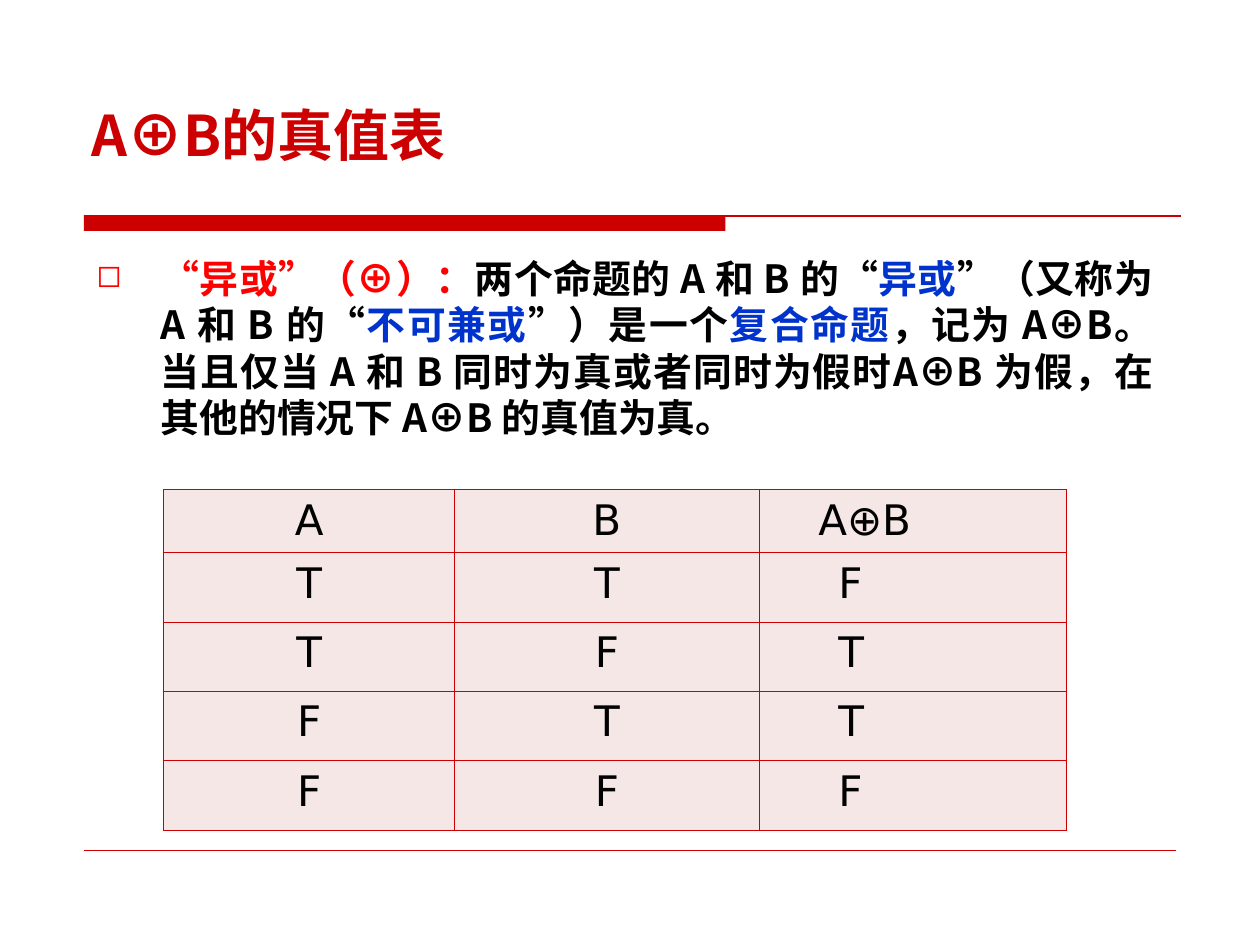
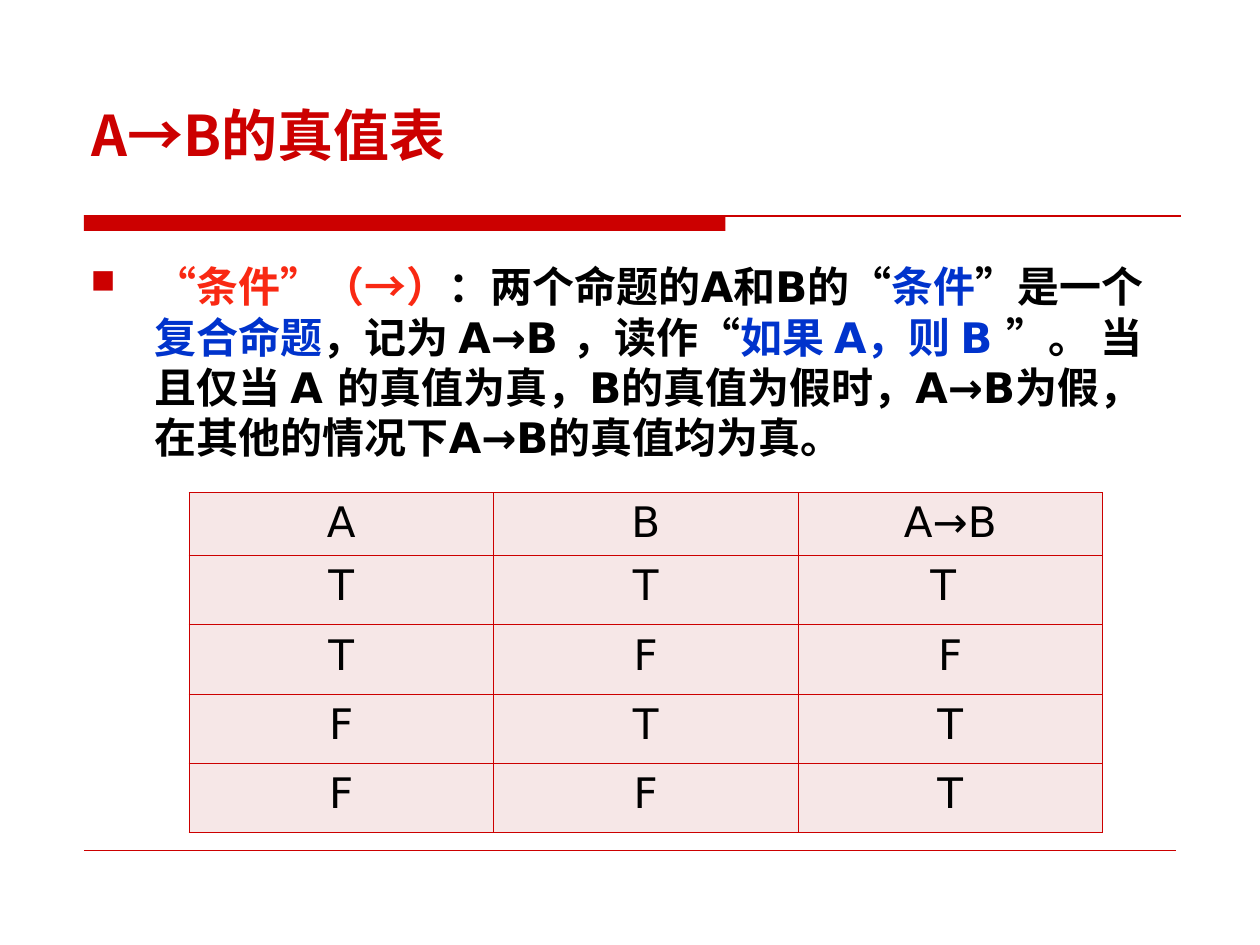
from typing import NamedTuple

from lxml import etree
from pptx import Presentation
from pptx import util as u
from pptx.dml.color import RGBColor
from pptx.enum import shapes, text
from pptx.oxml import ns

UNIT = u.Inches(1) // 12  # the slide is a grid of 120 columns and 90 rows
RED, BLUE, BLACK = "CC0000", "0033CC", "000000"
TABLE_FILL = "F6E7E7"
LATIN, CJK = "DejaVu Sans", "Noto Sans CJK SC"
CENTER, LEFT = text.PP_ALIGN.CENTER, text.PP_ALIGN.LEFT


class Area(NamedTuple):
    left: float
    top: float
    width: float
    height: float


class Span(NamedTuple):
    words: str
    color: str = BLACK
    latin: str = LATIN


class Body(NamedTuple):
    area: Area
    size: float
    align: text.PP_ALIGN
    bullet: str
    bullet_color: str
    spans: list[Span]


class Placing(NamedTuple):
    """Alignment and side insets (inches) of a cell."""
    align: text.PP_ALIGN = CENTER
    left: float = 0.1
    right: float = 0.1


class TruthTable(NamedTuple):
    left: float
    top: float
    columns: list[float]
    result: str
    outcomes: str
    result_placings: list[Placing]


class Lesson(NamedTuple):
    title: str
    body: Body
    table: TruthTable


def cjk_spans(*parts: tuple[str, str]) -> list[Span]:
    return [Span(words, color, LATIN if words in "“”" else CJK) for words, color in parts]


LESSONS = [
    Lesson(
        "A⊕B的真值表",
        Body(Area(8, 23.64, 103, 21.4), 22.2, text.PP_ALIGN.JUSTIFY, "◻", "FF0000", cjk_spans(
            ("“", "FF0000"), ("异或", "FF0000"), ("”", "FF0000"), ("（⊕）：", "FF0000"),
            ("两个命题的 A 和 B 的", BLACK), ("“", BLACK), ("异或", BLUE), ("”", BLACK),
            ("（又称为 A 和 B 的", BLACK), ("“", BLACK), ("不可兼或", BLUE), ("”", BLACK),
            ("）是一个", BLACK), ("复合命题", BLUE),
            ("，记为 A⊕B。当且仅当 A 和 B 同时为真或者同时为假时A⊕B 为假，"
             "在其他的情况下 A⊕B 的真值为真。", BLACK))),
        TruthTable(15.6, 46.64, [27.7, 29, 29.3], "A⊕B", "FTTF",
                   [Placing(LEFT, 0.47)] + [Placing(LEFT, 0.63)] * 4),
    ),
    Lesson(
        "A→B的真值表",
        Body(Area(7.44, 24.24, 105, 21.7), 24, LEFT, "■", RED, [
            Span("“条件”（→）", "F92913"), Span("：两个命题的A和B的“"), Span("条件", BLUE),
            Span("”是一个"), Span("复合命题", BLUE), Span("，记为 A→B ，读作“"),
            Span("如果 A，则 B ", BLUE),
            Span("”。 当且仅当 A 的真值为真，B的真值为假时，A→B为假，"
                 "在其他的情况下A→B的真值均为真。")]),
        TruthTable(18, 46.9, [29] * 3, "A→B", "TFTT",
                   [Placing(), Placing(right=0.21)] + [Placing()] * 3),
    ),
]


def grid(*lengths: float) -> list[int]:
    return [round(length * UNIT) for length in lengths]


def rgb(color: str) -> RGBColor:
    return RGBColor.from_string(color)


def add_element(parent, tag: str, **attributes: str):
    return etree.SubElement(parent, ns.qn(tag), attributes)


def set_font(font, size: float | None = None, color: str | None = None,
             latin: str | None = None, bold: bool | None = None) -> None:
    if size:
        font.size = u.Pt(size)
    if color:
        font.color.rgb = rgb(color)
    if bold is not None:
        font.bold = bold
    if latin:
        font.name = latin
        font._rPr.find(ns.qn("a:latin")).addnext(
            etree.Element(ns.qn("a:ea"), typeface=CJK))


def add_rule(page, start: float, end: float, row: float, width: float) -> None:
    x1, x2, y = grid(start, end, row)
    rule = page.shapes.add_connector(shapes.MSO_CONNECTOR.STRAIGHT, x1, y, x2, y)
    rule.line.color.rgb = rgb(RED)
    rule.line.width = u.Pt(width)
    add_element(rule._element.spPr, "a:effectLst")


def add_frame(page) -> None:
    """Draw the title band and the footer rule."""
    band = page.shapes.add_shape(shapes.MSO_SHAPE.RECTANGLE, *grid(8, 20.5, 61.1, 1.5))
    band.shadow.inherit = False
    band.fill.solid()
    band.fill.fore_color.rgb = rgb(RED)
    band.line.fill.background()
    add_rule(page, 8, 112.45, 20.55, 1)
    add_rule(page, 8, 112, 81, 0.25)


def add_text_frame(page, area: Area):
    frame = page.shapes.add_textbox(*grid(*area)).text_frame
    frame.word_wrap = True
    return frame


def add_title(page, title: str) -> None:
    frame = add_text_frame(page, Area(7.5, 4, 105, 12.6))
    frame.vertical_anchor = text.MSO_ANCHOR.BOTTOM
    para = frame.paragraphs[0]
    para.add_run().text = title
    set_font(para.font, 32, RED, CJK, True)


def add_body(page, body: Body) -> None:
    para = add_text_frame(page, body.area).paragraphs[0]
    para.alignment = body.align
    para.line_spacing = u.Pt(round(body.size * 1.2, 1))
    properties = para._p.get_or_add_pPr()
    indent = u.Inches(0.51)
    properties.set("marL", str(indent))
    properties.set("indent", str(-indent))
    properties.set("hangingPunct", "0")
    bullet_color = add_element(properties, "a:buClr")
    add_element(bullet_color, "a:srgbClr", val=body.bullet_color)
    add_element(properties, "a:buSzPct", val="80000")
    add_element(properties, "a:buFont", typeface="OpenSymbol")
    add_element(properties, "a:buChar", char=body.bullet)
    set_font(para.font, body.size, bold=True)
    for span in body.spans:
        run = para.add_run()
        run.text = span.words
        set_font(run.font, color=span.color, latin=span.latin)


def fill_cell(cell, words: str, placing: Placing) -> None:
    cell.fill.solid()
    cell.fill.fore_color.rgb = rgb(TABLE_FILL)
    cell.margin_left, cell.margin_right = u.Inches(placing.left), u.Inches(placing.right)
    properties = cell._tc.get_or_add_tcPr()
    for position, side in enumerate(("a:lnL", "a:lnR", "a:lnT", "a:lnB")):
        border = etree.Element(ns.qn(side), w=str(u.Pt(0.45)))
        add_element(add_element(border, "a:solidFill"), "a:srgbClr", val=RED)
        properties.insert(position, border)
    para = cell.text_frame.paragraphs[0]
    para.alignment = placing.align
    para.add_run().text = words
    set_font(para.font, 24, BLACK, LATIN)


def add_truth_table(page, truth: TruthTable) -> None:
    rows = [("A", "B", truth.result),
            *((*pair, outcome) for pair, outcome in zip(("TT", "TF", "FT", "FF"), truth.outcomes))]
    heights = [6] + [6.6] * 4
    area = Area(truth.left, truth.top, sum(truth.columns), sum(heights))
    table = page.shapes.add_table(len(rows), len(truth.columns), *grid(*area)).table
    table.first_row = table.horz_banding = False
    for column, width in zip(table.columns, grid(*truth.columns)):
        column.width = width
    for row, height in zip(table.rows, grid(*heights)):
        row.height = height
    for row, values, result_placing in zip(table.rows, rows, truth.result_placings):
        for cell, words, placing in zip(row.cells, values, (Placing(), Placing(), result_placing)):
            fill_cell(cell, words, placing)


def main() -> None:
    deck = Presentation()
    deck.slide_width, deck.slide_height = grid(120, 90)
    for lesson in LESSONS:
        page = deck.slides.add_slide(deck.slide_layouts[6])
        add_frame(page)
        add_title(page, lesson.title)
        add_body(page, lesson.body)
        add_truth_table(page, lesson.table)
    deck.save("out.pptx")


if __name__ == "__main__":
    main()
